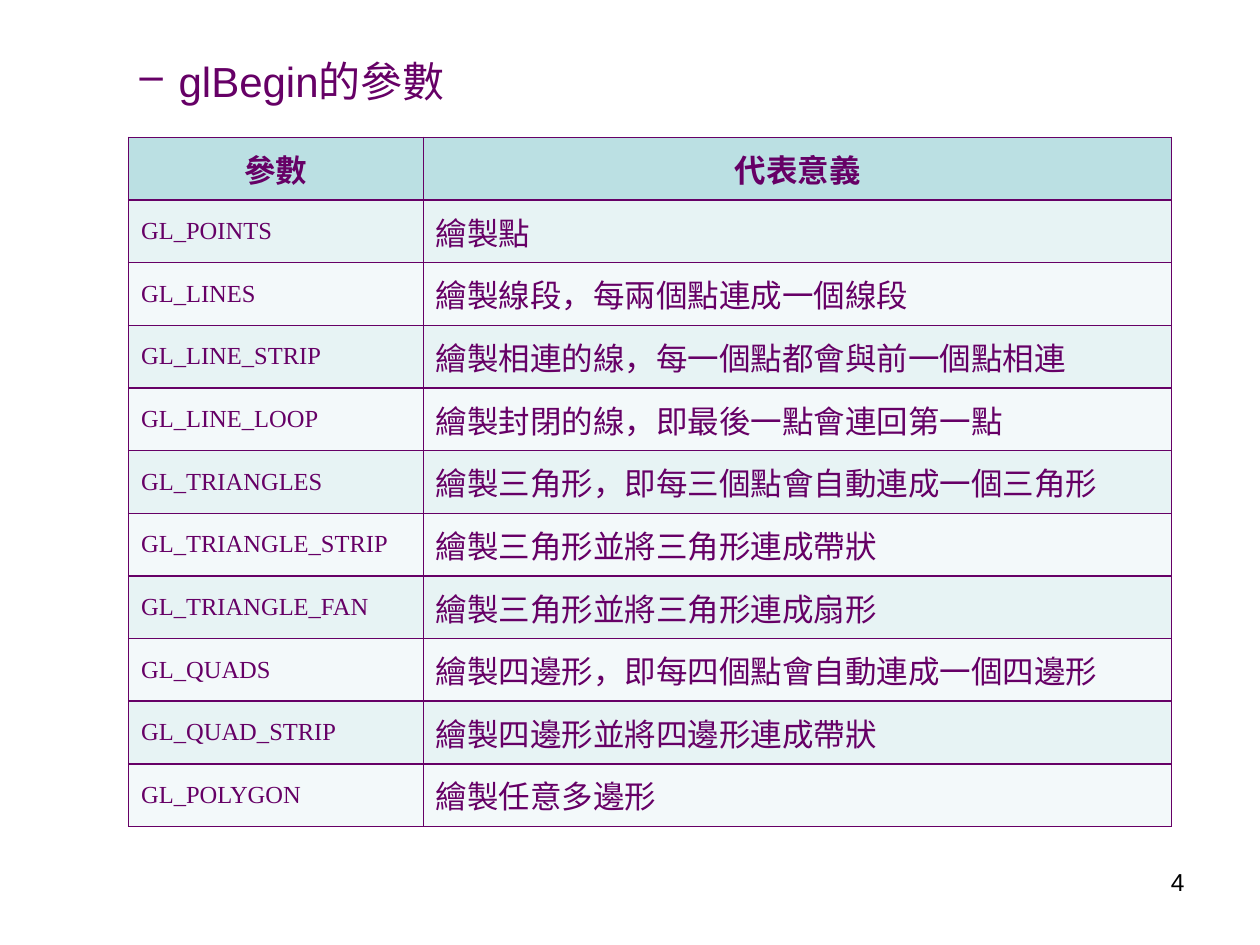
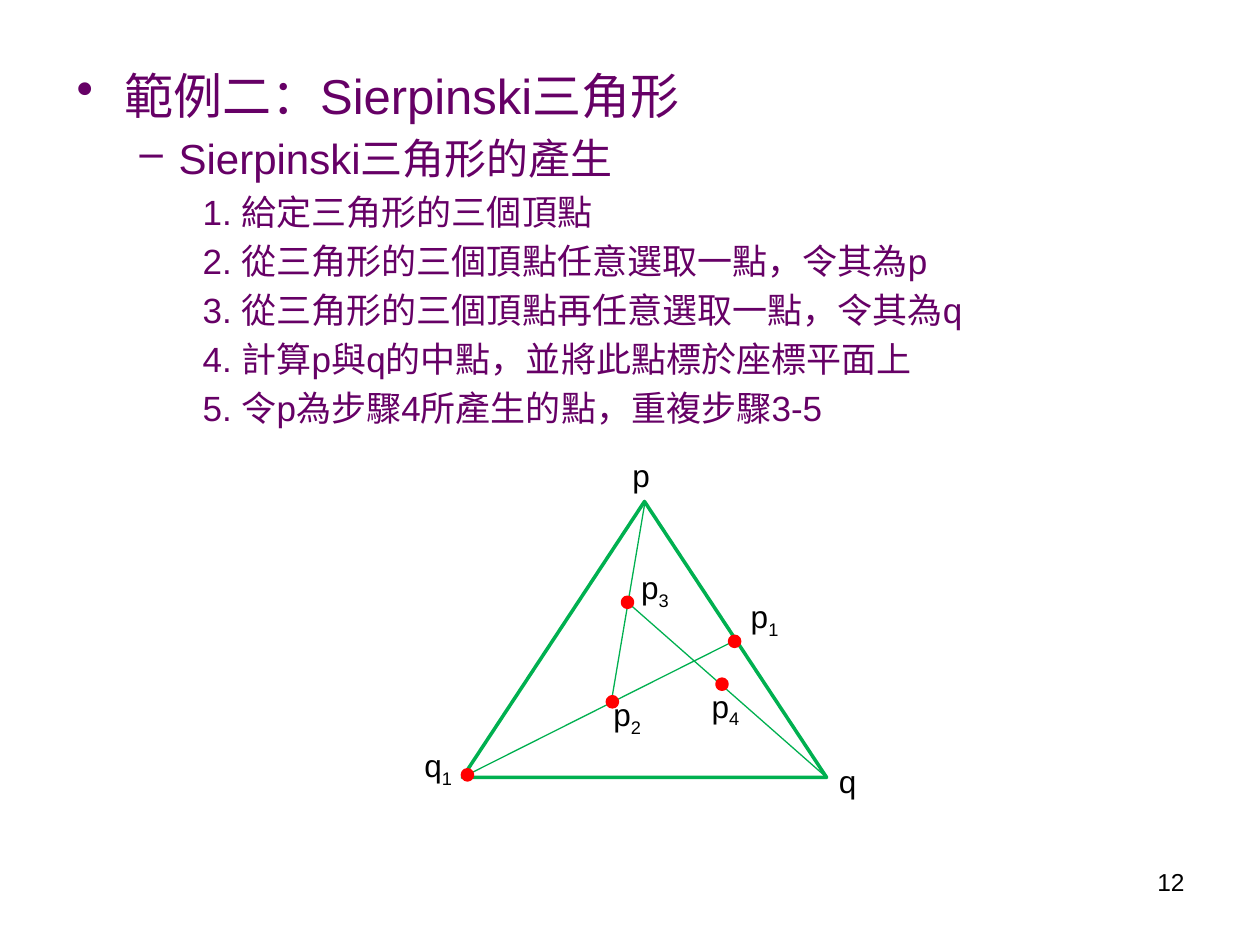
from pptx import Presentation
from pptx import util as u
from pptx.dml.color import RGBColor
from pptx.enum import shapes, text
from pptx.oxml import parse_xml
from pptx.oxml.ns import nsdecls

PARAMETERS = [
    ("參數", "代表意義"),
    ("GL_POINTS", "繪製點"),
    ("GL_LINES", "繪製線段，每兩個點連成一個線段"),
    ("GL_LINE_STRIP", "繪製相連的線，每一個點都會與前一個點相連"),
    ("GL_LINE_LOOP", "繪製封閉的線，即最後一點會連回第一點"),
    ("GL_TRIANGLES", "繪製三角形，即每三個點會自動連成一個三角形"),
    ("GL_TRIANGLE_STRIP", "繪製三角形並將三角形連成帶狀"),
    ("GL_TRIANGLE_FAN", "繪製三角形並將三角形連成扇形"),
    ("GL_QUADS", "繪製四邊形，即每四個點會自動連成一個四邊形"),
    ("GL_QUAD_STRIP", "繪製四邊形並將四邊形連成帶狀"),
    ("GL_POLYGON", "繪製任意多邊形"),
]
STEPS = [
    "給定三角形的三個頂點",
    "從三角形的三個頂點任意選取一點，令其為p",
    "從三角形的三個頂點再任意選取一點，令其為q",
    "計算p與q的中點，並將此點標於座標平面上",
    "令p為步驟4所產生的點，重複步驟3-5",
]
PARAMETER_OUTLINE = [("dash", "glBegin的參數")]
SIERPINSKI_OUTLINE = [
    ("bullet", "範例二：Sierpinski三角形"),
    ("dash", "Sierpinski三角形的產生"),
] + [("step", f"{number}. {step}") for number, step in enumerate(STEPS, 1)]

APEX, LEFT_CORNER, RIGHT_CORNER = (5.12, 3.98), (3.67, 6.17), (6.56, 6.17)
CONSTRUCTION = [
    (LEFT_CORNER, (5.84, 5.08)),
    ((4.85, 5.58), APEX),
    (RIGHT_CORNER, (4.98, 4.78)),
]
DOTS = [(5.83, 5.09), (3.71, 6.15), (4.86, 5.57), (4.98, 4.78), (5.73, 5.43)]
LABELS = [
    ("p", "", 4.92, 3.57), ("q", "", 6.56, 6.0), ("q", "1", 3.27, 5.87),
    ("p", "1", 5.86, 4.69), ("p", "2", 4.77, 5.47),
    ("p", "3", 4.99, 4.46), ("p", "4", 5.55, 5.4),
]

THEME = {
    "purple": "660066", "black": "000000", "green": "00B050", "red": "FF0000",
    "header": "BBE0E3", "bands": ("E7F3F4", "F3F9FA"),
    "font": "Arial", "code_font": "Times New Roman",
    "cell_size": 18, "code_size": 14, "label_size": 18, "page_size": 14,
    "levels": {
        "bullet": {"size": 28, "left": 0.38, "hang": 0.38, "mark": "•"},
        "dash": {"size": 24, "left": 0.81, "hang": 0.31, "mark": "–"},
        "step": {"size": 20, "left": 1.25, "hang": 0.25},
    },
}


def rgb(color):
    return RGBColor.from_string(color)


def write(paragraph, words, size, color=THEME["purple"], font=THEME["font"],
          bold=False, align=None, subscript="", left=None, hang=0, mark=None):
    for part, baseline in ((words, None), (subscript, "-25000")):
        if not part:
            continue
        run = paragraph.add_run()
        run.text = part
        run.font.size = u.Pt(size)
        run.font.name = font
        run.font.bold = bold
        run.font.color.rgb = rgb(color)
        if baseline:
            run.font._element.set("baseline", baseline)
    if align is not None:
        paragraph.alignment = align
    if left is not None:
        properties = paragraph._p.get_or_add_pPr()
        properties.set("marL", str(u.Inches(left)))
        properties.set("indent", str(-u.Inches(hang)))
        properties.append(parse_xml(
            f'<a:spcBef {nsdecls("a")}><a:spcPct val="20000"/></a:spcBef>'))
        bullet = f'buChar {nsdecls("a")} char="{mark}"' if mark else f'buNone {nsdecls("a")}'
        properties.append(parse_xml(f"<a:{bullet}/>"))


def add_frame(slide, left, top, width, height):
    frame = slide.shapes.add_textbox(*map(u.Inches, (left, top, width, height))).text_frame
    frame.word_wrap = True
    return frame


def add_outline(slide, outline, top):
    frame = add_frame(slide, 0.51, top, 9, 6.73 - top)
    for index, (level, words) in enumerate(outline):
        paragraph = frame.add_paragraph() if index else frame.paragraphs[0]
        write(paragraph, words, **THEME["levels"][level])


def add_page(deck, number, outline, top):
    slide = deck.slides.add_slide(deck.slide_layouts[6])
    add_outline(slide, outline, top)
    write(add_frame(slide, 7.17, 6.83, 2.33, 0.52).paragraphs[0], str(number),
          THEME["page_size"], color=THEME["black"], align=text.PP_ALIGN.RIGHT)
    return slide


def border(cell):
    for side in "LRTB":
        cell._tc.get_or_add_tcPr().append(parse_xml(
            f'<a:ln{side} {nsdecls("a")} w="{u.Pt(1)}"><a:solidFill>'
            f'<a:srgbClr val="{THEME["purple"]}"/></a:solidFill></a:ln{side}>'))


def add_parameter_table(slide):
    widths, height = (2.34, 5.94), 5.47
    table = slide.shapes.add_table(
        len(PARAMETERS), len(widths), u.Inches(1.02), u.Inches(1.09),
        u.Inches(sum(widths)), u.Inches(height)).table
    for column, width in zip(table.columns, widths):
        column.width = u.Inches(width)
    for row_index, entry in enumerate(PARAMETERS):
        table.rows[row_index].height = u.Inches(height / len(PARAMETERS))
        is_header = row_index == 0
        band = THEME["header"] if is_header else THEME["bands"][(row_index - 1) % 2]
        for column_index, words in enumerate(entry):
            cell = table.cell(row_index, column_index)
            is_code = column_index == 0 and not is_header
            border(cell)
            cell.fill.solid()
            cell.fill.fore_color.rgb = rgb(band)
            cell.vertical_anchor = text.MSO_ANCHOR.MIDDLE
            write(cell.text_frame.paragraphs[0], words,
                  THEME["code_size"] if is_code else THEME["cell_size"],
                  font=THEME["code_font"] if is_code else THEME["font"],
                  bold=is_header,
                  align=text.PP_ALIGN.CENTER if is_header else None)


def add_outlined(slide, preset, left, top, width, height, line, fill=None):
    shape = slide.shapes.add_shape(preset, *map(u.Inches, (left, top, width, height)))
    shape.shadow.inherit = False
    if fill:
        shape.fill.solid()
        shape.fill.fore_color.rgb = rgb(fill)
    else:
        shape.fill.background()
    shape.line.color.rgb = rgb(line)
    shape.line.width = u.Pt(2)


def add_sierpinski(slide):
    add_outlined(slide, shapes.MSO_SHAPE.ISOSCELES_TRIANGLE, LEFT_CORNER[0], APEX[1],
                 RIGHT_CORNER[0] - LEFT_CORNER[0], LEFT_CORNER[1] - APEX[1],
                 THEME["green"])
    for start, end in CONSTRUCTION:
        segment = slide.shapes.add_connector(
            shapes.MSO_CONNECTOR.STRAIGHT, *map(u.Inches, start + end))
        segment.line.color.rgb = rgb(THEME["green"])
        segment.line.width = u.Pt(0.75)
        segment._element.spPr.append(parse_xml(f'<a:effectLst {nsdecls("a")}/>'))
    diameter = 0.08
    for x, y in DOTS:
        add_outlined(slide, shapes.MSO_SHAPE.OVAL, x - diameter / 2, y - diameter / 2,
                     diameter, diameter, THEME["red"], fill=THEME["red"])
    for letter, subscript, left, top in LABELS:
        write(add_frame(slide, left, top, 0.55, 0.4).paragraphs[0], letter,
              THEME["label_size"], color=THEME["black"], subscript=subscript)


def main():
    deck = Presentation()
    deck.slide_width, deck.slide_height = u.Inches(10), u.Inches(7.5)
    add_parameter_table(add_page(deck, 4, PARAMETER_OUTLINE, 0.39))
    add_sierpinski(add_page(deck, 12, SIERPINSKI_OUTLINE, 0.47))
    deck.save("out.pptx")


if __name__ == "__main__":
    main()
